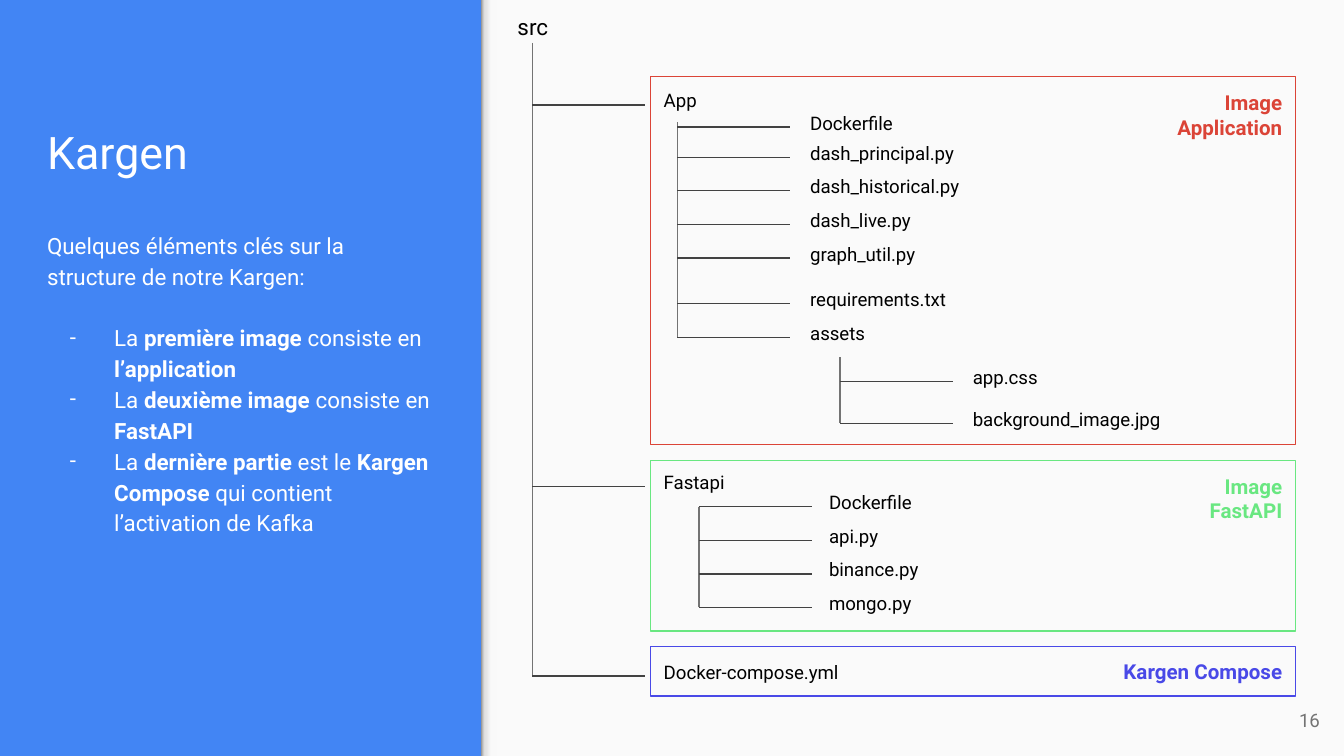
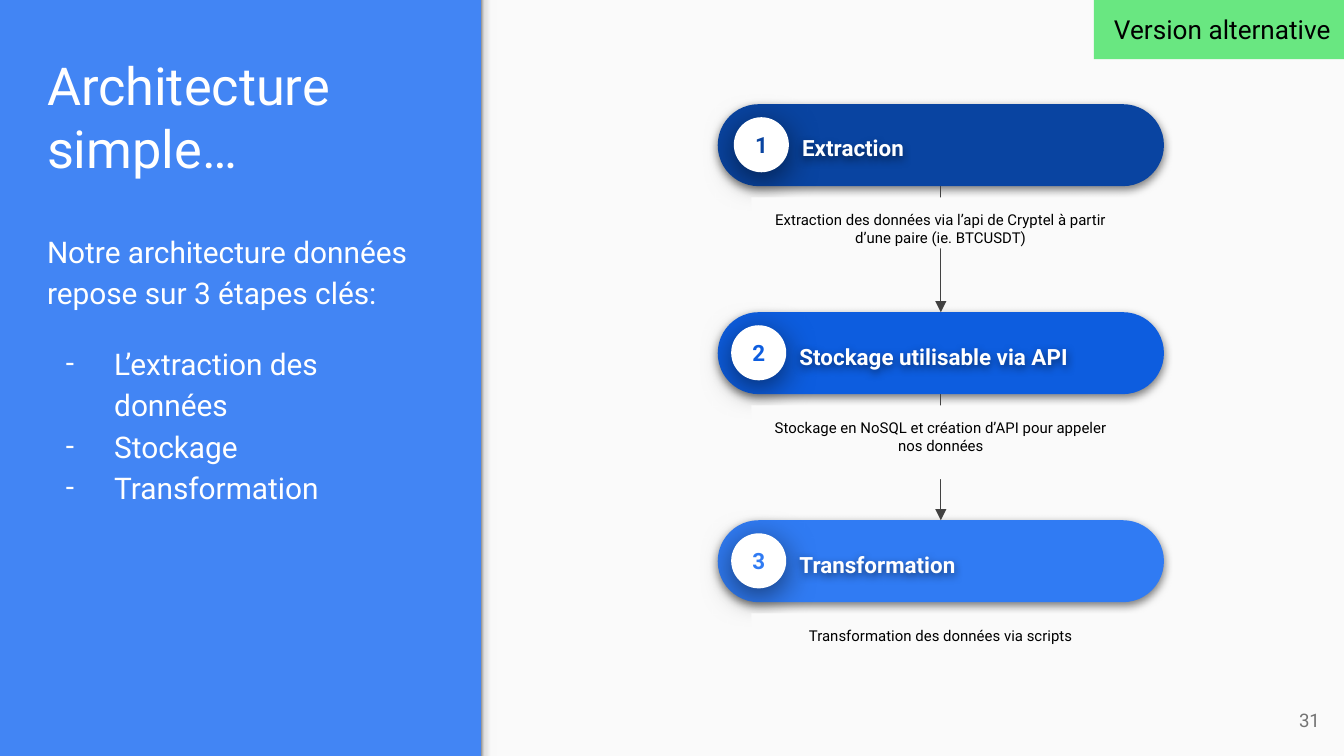
"""Build two slides about a container layout and a data architecture."""
from dataclasses import dataclass, replace
from itertools import pairwise
from typing import Optional

from lxml.etree import SubElement
from pptx import Presentation
from pptx.dml.color import RGBColor
from pptx.enum.shapes import MSO_CONNECTOR, MSO_SHAPE
from pptx.enum.text import MSO_ANCHOR, MSO_AUTO_SIZE, PP_ALIGN
from pptx.oxml.ns import qn
from pptx.shapes.autoshape import Shape
from pptx.shapes.connector import Connector
from pptx.slide import Slide
from pptx.text.text import TextFrame
from pptx.util import Inches, Length, Pt

CELL = 0.1
COLUMNS, ROWS = 100, 56.25
FONT = "Roboto"
BLUE, PAPER, WHITE, BLACK = "4285F4", "FAFAFA", "FFFFFF", "000000"
GREY, CHARCOAL = "737373", "424242"
RED, GREEN, INDIGO = "DB4437", "69E781", "4949E7"
EDGE_STOPS = ((0, "F9F9F9"), (36, "F9F9F9"), (80, "DEDEDE"), (100, "999999"))
PANEL_LEFT = 35.8
STEM_LENGTH, STEM_DROP, LABEL_HEIGHT = 8.4, 2, 3.7
FRAME_LEFT, FRAME_WIDTH = 48.4, 48
PILL_LEFT, PILL_WIDTH, PILL_HEIGHT = 53.4, 33.2, 6.1
FIRST_PILL, PILL_PITCH = 7.75, 15.48
BADGE_SIZE, BADGE_DROP, CAPTION_DROP = 4.1, 0.97, 6.93


@dataclass(frozen=True)
class Area:
    """A rectangle measured in grid cells."""
    column: float
    row: float
    width: float
    height: float

    def lengths(self) -> tuple[Length, ...]:
        """Return left, top, width and height as lengths."""
        return tuple(cells(value) for value in (self.column, self.row, self.width, self.height))


@dataclass(frozen=True)
class TextStyle:
    """The look of a piece of text."""
    size: float
    colour: str = BLACK
    bold: bool = False
    align: PP_ALIGN = PP_ALIGN.LEFT
    anchor: MSO_ANCHOR = MSO_ANCHOR.TOP
    grow: bool = False
    line_spacing: Optional[float] = None
    space_after: float = 0


@dataclass(frozen=True)
class Shadow:
    """An outer shadow that falls straight down."""
    opacity: int
    blur: float
    distance: float


@dataclass(frozen=True)
class Leaf:
    """A named entry of the file tree."""
    name: str
    row: float
    width: float = 14


@dataclass(frozen=True)
class Branch:
    """A trunk with stems that lead to entries."""
    trunk: float
    top: float
    label_column: float
    leaves: tuple[Leaf, ...]


@dataclass(frozen=True)
class ImageFrame:
    """A coloured frame around one part of the tree."""
    name: str
    row: float
    height: float
    colour: str
    name_width: float = 11
    name_height: float = 5.7


@dataclass(frozen=True)
class Step:
    """A numbered stage of the architecture."""
    name: str
    colour: str
    caption: str
    caption_height: float
    badge_column: float = 54.4


LABEL = TextStyle(10, grow=True)
FRAME_NAME = TextStyle(11, bold=True, align=PP_ALIGN.RIGHT, grow=True)
PAGE_NUMBER = TextStyle(10, GREY, align=PP_ALIGN.RIGHT, anchor=MSO_ANCHOR.MIDDLE)
STEP_NAME = TextStyle(12, WHITE, True, anchor=MSO_ANCHOR.MIDDLE, line_spacing=1.15)
BADGE = TextStyle(12, bold=True, align=PP_ALIGN.CENTER, anchor=MSO_ANCHOR.MIDDLE)
CAPTION = TextStyle(8, align=PP_ALIGN.CENTER, space_after=16)
PILL_SHADOW, BADGE_SHADOW = Shadow(50, 4.5, 1.5), Shadow(55, 18, 4)

BRANCHES = (
    Branch(39.6, 3.2, 48.4, (
        Leaf("App", 5.8, 8.9), Leaf("Fastapi", 34.2, 8.9), Leaf("Docker-compose.yml", 48.3, 17.9))),
    Branch(50.4, 9.1, 59.3, (
        Leaf("Dockerfile", 7.45, 10.5), Leaf("dash_principal.py", 9.7), Leaf("dash_historical.py", 12.2),
        Leaf("dash_live.py", 14.7), Leaf("graph_util.py", 17.2), Leaf("requirements.txt", 20.6),
        Leaf("assets", 23.1))),
    Branch(62.5, 26.6, 71.4, (Leaf("app.css", 26.4), Leaf("background_image.jpg", 29.5, 20.7))),
    Branch(52, 37.7, 60.7, (
        Leaf("Dockerfile", 35.7, 10.5), Leaf("api.py", 38.2, 10.5),
        Leaf("binance.py", 40.7, 10.5), Leaf("mongo.py", 43.2, 10.5))),
)
FRAMES = (
    ImageFrame("Image Application", 5.7, 27.4, RED),
    ImageFrame("Image FastAPI", 34.25, 12.7, GREEN),
    ImageFrame("Kargen Compose", 48.1, 3.7, INDIGO, 19.5, 3.9),
)
STEPS = (
    Step("Extraction", "0944A1",
         "Extraction des données via l’api de Cryptel à partir d’une paire (ie. BTCUSDT)", 3.8, 54.6),
    Step("Stockage utilisable via API", "0D5DDF",
         "Stockage en NoSQL et création d’API pour appeler nos données", 5.5),
    Step("Transformation", "307BF3", "Transformation des données via scripts", 3.4),
)


def cells(count: float) -> Length:
    """Turn a number of grid cells into a length."""
    return Inches(count * CELL)


def rgb(colour: str) -> RGBColor:
    """Turn a hex string into a colour."""
    return RGBColor.from_string(colour)


def prepare_frame(frame: TextFrame, style: TextStyle) -> None:
    """Set the insets, wrapping and anchor of a text frame."""
    frame.margin_left = frame.margin_top = frame.margin_right = frame.margin_bottom = cells(1)
    frame.auto_size = MSO_AUTO_SIZE.SHAPE_TO_FIT_TEXT if style.grow else MSO_AUTO_SIZE.NONE
    frame.word_wrap = True
    frame.vertical_anchor = style.anchor


def add_run(paragraph, text: str, style: TextStyle, bold: bool) -> None:
    """Append one formatted run."""
    run = paragraph.add_run()
    run.text = text
    run.font.name, run.font.size, run.font.bold = FONT, Pt(style.size), bold
    run.font.color.rgb = rgb(style.colour)


def write(frame: TextFrame, text: str, style: TextStyle) -> None:
    """Write a single paragraph in a text frame."""
    prepare_frame(frame, style)
    paragraph = frame.paragraphs[0]
    paragraph.alignment, paragraph.line_spacing = style.align, style.line_spacing
    if style.space_after:
        paragraph.space_after = Pt(style.space_after)
    add_run(paragraph, text, style, style.bold)


def add_text(shapes, text: str, area: Area, style: TextStyle) -> Shape:
    """Add a text box."""
    box = shapes.add_textbox(*area.lengths())
    write(box.text_frame, text, style)
    return box


def add_block(shapes, kind: MSO_SHAPE, area: Area, fill: str = "", line: str = "") -> Shape:
    """Add a preset shape with a plain fill or outline."""
    shape = shapes.add_shape(kind, *area.lengths())
    shape.shadow.inherit = False
    if fill:
        shape.fill.solid()
        shape.fill.fore_color.rgb = rgb(fill)
    else:
        shape.fill.background()
    if line:
        shape.line.color.rgb, shape.line.width = rgb(line), Pt(0.75)
    else:
        shape.line.fill.background()
    return shape


def cast_shadow(shape: Shape, shadow: Shadow) -> None:
    """Give a shape an outer shadow."""
    shape.shadow.inherit = False
    effects = shape.element.spPr.find(qn("a:effectLst"))
    outer = SubElement(effects, qn("a:outerShdw"), blurRad=str(Pt(shadow.blur)),
                       dist=str(Pt(shadow.distance)), dir="5400000", algn="bl", rotWithShape="0")
    colour = SubElement(outer, qn("a:srgbClr"), val=BLACK)
    SubElement(colour, qn("a:alpha"), val=str(shadow.opacity * 1000))


def add_line(slide: Slide, start: tuple[float, float], end: tuple[float, float],
             colour: str, arrow: bool = False) -> Connector:
    """Add a straight connector between two grid points."""
    line = slide.shapes.add_connector(MSO_CONNECTOR.STRAIGHT, *map(cells, (*start, *end)))
    line.line.color.rgb, line.line.width = rgb(colour), Pt(0.75)
    if arrow:
        SubElement(line.line._get_or_add_ln(), qn("a:tailEnd"), type="triangle")
    SubElement(line.element.spPr, qn("a:effectLst"))
    return line


def add_panel(slide: Slide) -> None:
    """Add the light panel and its shaded edge."""
    add_block(slide.shapes, MSO_SHAPE.RECTANGLE, Area(PANEL_LEFT, 0, COLUMNS - PANEL_LEFT, ROWS), PAPER)
    thickness = 1.2
    area = Area(PANEL_LEFT + (thickness - ROWS) / 2, (ROWS - thickness) / 2, ROWS, thickness)
    edge = add_block(slide.shapes, MSO_SHAPE.RECTANGLE, area, PAPER)
    edge.rotation = 270
    edge.fill.gradient()
    edge.fill.gradient_angle = 90
    stops = edge.element.spPr.find(".//" + qn("a:gsLst"))
    stops.clear()
    for position, colour in EDGE_STOPS:
        stop = SubElement(stops, qn("a:gs"), pos=str(position * 1000))
        SubElement(stop, qn("a:srgbClr"), val=colour)


def fill_body(frame: TextFrame, style: TextStyle, indent: float, paragraphs: tuple) -> None:
    """Write an introduction and dashed items whose odd runs are bold."""
    prepare_frame(frame, style)
    for index, runs in enumerate(paragraphs):
        paragraph = frame.add_paragraph() if index else frame.paragraphs[0]
        properties = paragraph._p.get_or_add_pPr()
        properties.set("marL", str(cells(5) if index else 0))
        properties.set("indent", str(-cells(indent) if index else 0))
        if index:
            SubElement(SubElement(properties, qn("a:buClr")), qn("a:srgbClr"), val=WHITE)
            SubElement(properties, qn("a:buFont"), typeface=FONT)
            SubElement(properties, qn("a:buChar"), char="-")
        else:
            SubElement(properties, qn("a:buNone"))
        paragraph.line_spacing = 1.15
        paragraph.space_before = Pt(16 if index == 1 else 0)
        for position, text in enumerate(runs):
            add_run(paragraph, text, style, position % 2 == 1)


def add_slide(presentation, title: str, title_size: float, body_size: float,
              indent: float, paragraphs: tuple, number: int) -> Slide:
    """Add a slide with its panel, title, list and page number."""
    slide = presentation.slides.add_slide(presentation.slide_layouts[1])
    add_panel(slide)
    heading, body = slide.shapes.title, slide.placeholders[1]
    for holder, area in ((heading, Area(2.5, 3.9, 30.7, 10.4)), (body, Area(2.5, 16, 30.7, 34.6))):
        holder.left, holder.top, holder.width, holder.height = area.lengths()
    write(heading.text_frame, title, TextStyle(title_size, WHITE, anchor=MSO_ANCHOR.BOTTOM))
    fill_body(body.text_frame, TextStyle(body_size, WHITE), indent, paragraphs)
    add_text(slide.shapes, str(number), Area(93.2, 51.4, 6, 4.3), PAGE_NUMBER)
    return slide


def draw_branch(slide: Slide, branch: Branch) -> None:
    """Draw a trunk, its stems and their labels."""
    bottom = branch.leaves[-1].row + STEM_DROP
    add_line(slide, (branch.trunk, branch.top), (branch.trunk, bottom), GREY)
    for leaf in branch.leaves:
        row = leaf.row + STEM_DROP
        add_line(slide, (branch.trunk, row), (branch.trunk + STEM_LENGTH, row), CHARCOAL)
        add_text(slide.shapes, leaf.name, Area(branch.label_column, leaf.row, leaf.width, LABEL_HEIGHT), LABEL)


def draw_frame(slide: Slide, frame: ImageFrame) -> None:
    """Draw an image frame with its name at the top right."""
    add_block(slide.shapes, MSO_SHAPE.RECTANGLE,
              Area(FRAME_LEFT, frame.row, FRAME_WIDTH, frame.height), line=frame.colour)
    column = FRAME_LEFT + FRAME_WIDTH - frame.name_width
    add_text(slide.shapes, frame.name, Area(column, frame.row, frame.name_width, frame.name_height),
             replace(FRAME_NAME, colour=frame.colour))


def draw_step(slide: Slide, step: Step, index: int) -> Shape:
    """Draw a numbered pill and return it."""
    shapes = slide.shapes.add_group_shape().shapes
    top = FIRST_PILL + index * PILL_PITCH
    pill = add_block(shapes, MSO_SHAPE.ROUNDED_RECTANGLE,
                     Area(PILL_LEFT, top, PILL_WIDTH, PILL_HEIGHT), step.colour)
    pill.adjustments[0] = 0.5
    cast_shadow(pill, PILL_SHADOW)
    badge = add_block(shapes, MSO_SHAPE.OVAL,
                      Area(step.badge_column, top + BADGE_DROP, BADGE_SIZE, BADGE_SIZE), WHITE)
    cast_shadow(badge, BADGE_SHADOW)
    write(badge.text_frame, str(index + 1), replace(BADGE, colour=step.colour))
    name = add_text(shapes, step.name,
                    Area(step.badge_column + BADGE_SIZE, top + BADGE_DROP, 25.5, 4.3), STEP_NAME)
    cast_shadow(name, PILL_SHADOW)
    return pill


def build_file_tree(presentation) -> None:
    """Build the slide with the file tree."""
    slide = add_slide(presentation, "Kargen", 24, 12, 3.3, (
        ("Quelques éléments clés sur la structure de notre Kargen:",),
        ("La ", "première image", " consiste en ", "l’application"),
        ("La ", "deuxième image", " consiste en ", "FastAPI"),
        ("La ", "dernière partie", " est le ", "Kargen Compose", " qui contient l’activation de Kafka"),
    ), 16)
    add_text(slide.shapes, "src", Area(37, 0, 5.3, 4), replace(LABEL, size=12, align=PP_ALIGN.CENTER))
    for branch in BRANCHES:
        draw_branch(slide, branch)
    for frame in FRAMES:
        draw_frame(slide, frame)


def build_architecture(presentation) -> None:
    """Build the slide with the three stages."""
    slide = add_slide(presentation, "Architecture simple…", 28, 16, 3.6, (
        ("Notre architecture données repose sur 3 étapes clés:",),
        ("L’extraction des données",), ("Stockage",), ("Transformation",),
    ), 31)
    pills = [draw_step(slide, step, index) for index, step in enumerate(STEPS)]
    for upper, lower in pairwise(pills):
        arrow = add_line(slide, (0, 0), (0, 0), CHARCOAL, arrow=True)
        arrow.begin_connect(upper, 2)
        arrow.end_connect(lower, 0)
    for index, step in enumerate(STEPS):
        area = Area(55.9, FIRST_PILL + index * PILL_PITCH + CAPTION_DROP, 28.2, step.caption_height)
        caption = add_block(slide.shapes, MSO_SHAPE.RECTANGLE, area, PAPER)
        write(caption.text_frame, step.caption, CAPTION)
    banner = add_block(slide.shapes, MSO_SHAPE.RECTANGLE, Area(81.4, 0, 18.6, 4.4), GREEN)
    write(banner.text_frame, "Version alternative", TextStyle(14, align=PP_ALIGN.RIGHT, grow=True))


def main() -> None:
    """Build and save the presentation."""
    presentation = Presentation()
    presentation.slide_width, presentation.slide_height = cells(COLUMNS), cells(ROWS)
    background = presentation.slide_master.background.fill
    background.solid()
    background.fore_color.rgb = rgb(BLUE)
    build_file_tree(presentation)
    build_architecture(presentation)
    presentation.save("out.pptx")


if __name__ == "__main__":
    main()
